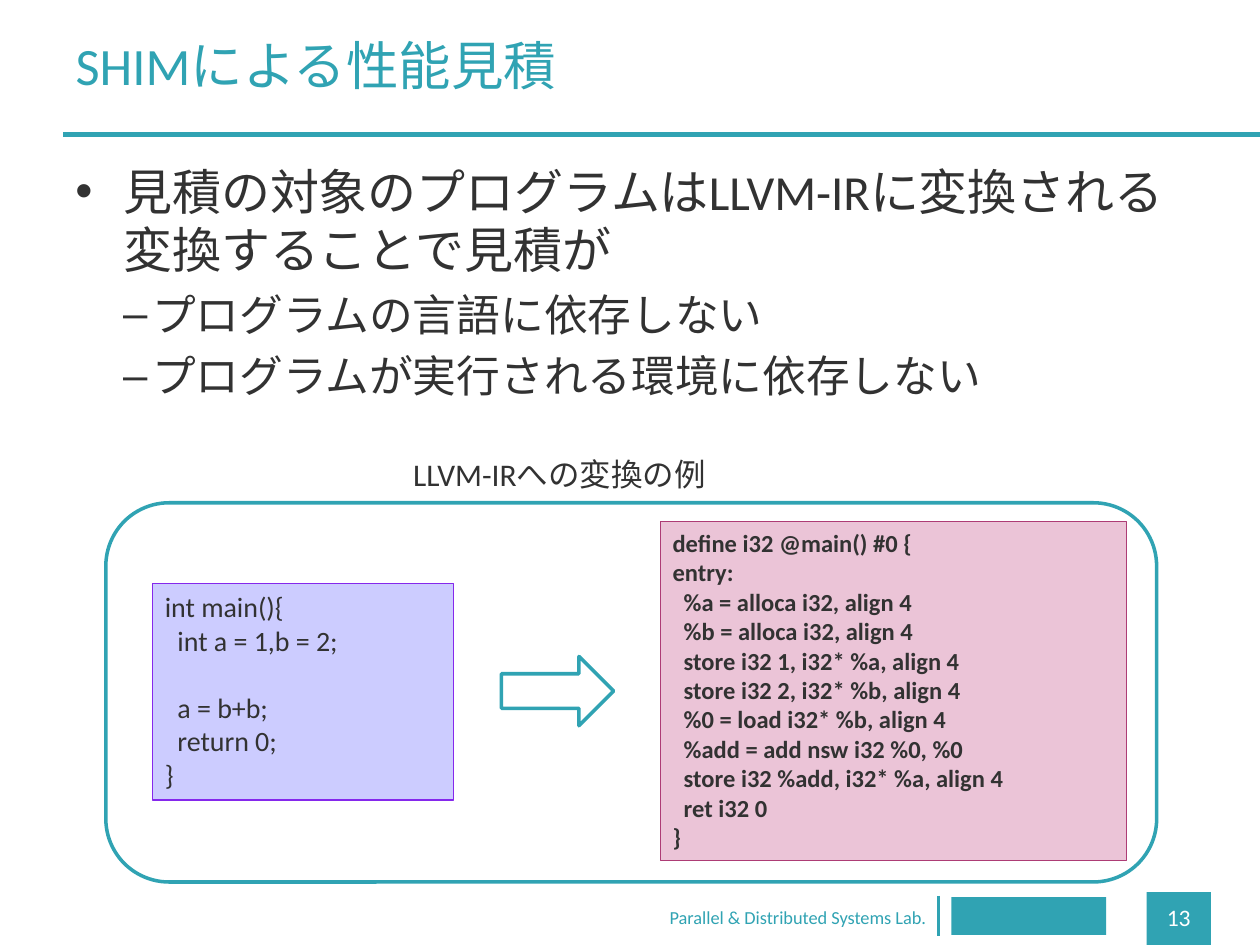
import pptx
import pptx.dml.color
import pptx.enum.shapes
import pptx.enum.text
import pptx.oxml.ns
import pptx.util
from lxml import etree

Inches = pptx.util.Inches
Pt = pptx.util.Pt
SHAPE = pptx.enum.shapes.MSO_SHAPE
ALIGN = pptx.enum.text.PP_ALIGN
ANCHOR = pptx.enum.text.MSO_ANCHOR
qn = pptx.oxml.ns.qn

TEAL, INK, WHITE = "30A3B3", "323232", "FFFFFF"

SOURCE_CODE = """int main(){
  int a = 1,b = 2;

  a = b+b;
  return 0;
}"""

LLVM_IR = """define i32 @main() #0 {
entry:
  %a = alloca i32, align 4
  %b = alloca i32, align 4
  store i32 1, i32* %a, align 4
  store i32 2, i32* %b, align 4
  %0 = load i32* %b, align 4
  %add = add nsw i32 %0, %0
  store i32 %add, i32* %a, align 4
  ret i32 0
}"""

# text, size, left margin, hanging indent, bullet
POINTS = [
    ("見積の対象のプログラムはLLVM-IRに変換される\n変換することで見積が", 28, 0.38, 0.38, "•"),
    ("プログラムの言語に依存しない", 25, 0.61, 0.23, "–"),
    ("プログラムが実行される環境に依存しない", 25, 0.61, 0.23, "–"),
]


def color(hex_value):
    return pptx.dml.color.RGBColor.from_string(hex_value)


class SlideBuilder:
    """Holds the fonts and the slide being filled."""

    latin = "Calibri"
    east_asian = "Noto Sans CJK JP"

    def __init__(self, slide):
        self.slide = slide

    def format_paragraph(self, paragraph, size, ink=INK, bold=False, align=ALIGN.LEFT):
        paragraph.alignment = align
        for run in paragraph.runs:
            style = {"name": self.latin, "size": Pt(size), "bold": bold}
            for attribute, value in style.items():
                setattr(run.font, attribute, value)
            run.font.color.rgb = color(ink)
            etree.SubElement(run.font._element, qn("a:ea"), typeface=self.east_asian)
        if not paragraph.runs:
            paragraph.font.size = Pt(size)

    def fill_frame(self, frame, text, size, anchor=ANCHOR.TOP, wrap=True, **style):
        frame.text = text
        settings = {
            "word_wrap": wrap,
            "vertical_anchor": anchor,
            "auto_size": pptx.enum.text.MSO_AUTO_SIZE.NONE,
        }
        for attribute, value in settings.items():
            setattr(frame, attribute, value)
        for paragraph in frame.paragraphs:
            self.format_paragraph(paragraph, size, **style)

    def title(self, box, text, size):
        heading = self.slide.shapes.title
        for attribute, value in zip(("left", "top", "width", "height"), box):
            setattr(heading, attribute, Inches(value))
        self.fill_frame(heading.text_frame, text, size, anchor=ANCHOR.MIDDLE, ink=TEAL)

    def text(self, box, text, size, **style):
        label = self.slide.shapes.add_textbox(*map(Inches, box))
        self.fill_frame(label.text_frame, text, size, **style)

    def bullets(self, box, points):
        frame = self.slide.shapes.add_textbox(*map(Inches, box)).text_frame
        frame.word_wrap = True
        for index, (text, size, margin, hanging, mark) in enumerate(points):
            paragraph = frame.add_paragraph() if index else frame.paragraphs[0]
            paragraph.text = text
            paragraph.space_before = Pt(size * 0.2)
            self.format_paragraph(paragraph, size)
            properties = paragraph._p.get_or_add_pPr()
            properties.set("marL", str(Inches(margin)))
            properties.set("indent", str(-Inches(hanging)))
            etree.SubElement(properties, qn("a:buFont"), typeface="Arial")
            etree.SubElement(properties, qn("a:buChar"), char=mark)

    def shape(self, kind, box, fill, line=None, weight=0.75):
        item = self.slide.shapes.add_shape(kind, *map(Inches, box))
        item.shadow.inherit = False
        item.fill.solid()
        item.fill.fore_color.rgb = color(fill)
        if line:
            item.line.color.rgb = color(line)
            item.line.width = Pt(weight)
        else:
            item.line.fill.background()
        return item

    def code(self, box, text, size, fill, line, bold=False):
        panel = self.shape(SHAPE.RECTANGLE, box, fill, line)
        self.fill_frame(panel.text_frame, text, size, bold=bold)

    def rule(self, start, end, weight):
        straight = pptx.enum.shapes.MSO_CONNECTOR.STRAIGHT
        line = self.slide.shapes.add_connector(straight, *map(Inches, start + end))
        line.line.color.rgb = color(TEAL)
        line.line.width = Pt(weight)
        etree.SubElement(line._element.spPr, qn("a:effectLst"))


def main():
    deck = pptx.Presentation()
    deck.slide_width, deck.slide_height = Inches(10), Inches(7.5)
    title_only = deck.slide_layouts[5]
    page = SlideBuilder(deck.slides.add_slide(title_only))

    # Footer, with a plain block where the lab's emblem goes
    page.shape(SHAPE.RECTANGLE, (9.1, 7.08, 0.51, 0.42), TEAL)
    page.text((9.1, 7.12, 0.51, 0.33), "13", 13.5, ink=WHITE, align=ALIGN.CENTER)
    page.text((5.07, 7.14, 2.38, 0.24), "Parallel & Distributed Systems Lab.", 10.5,
              ink=TEAL, align=ALIGN.RIGHT, wrap=False)
    page.shape(SHAPE.RECTANGLE, (7.55, 7.12, 1.23, 0.3), TEAL)
    page.rule((7.45, 7.11), (7.45, 7.43), 1.5)

    page.rule((0.5, 1.07), (10, 1.07), 3)
    page.title((0.5, 0.13, 7.64, 0.77), "SHIMによる性能見積", 30)
    page.bullets((0.5, 1.23, 9, 2.33), POINTS)

    # Conversion example
    page.shape(SHAPE.ROUNDED_RECTANGLE, (0.84, 3.99, 8.34, 3.01), WHITE, TEAL, 2)
    page.code((1.21, 4.63, 2.39, 1.72), SOURCE_CODE, 16, "CCCCFF", "8528EC")
    page.code((5.24, 4.14, 3.7, 2.69), LLVM_IR, 14, "EBC4D7", "AD3C75", bold=True)
    page.text((3.18, 3.56, 2.92, 0.4), "LLVM-IRへの変換の例", 18)
    page.shape(SHAPE.RIGHT_ARROW, (3.98, 5.21, 0.89, 0.55), WHITE, TEAL, 2)

    deck.save("out.pptx")


if __name__ == "__main__":
    main()
